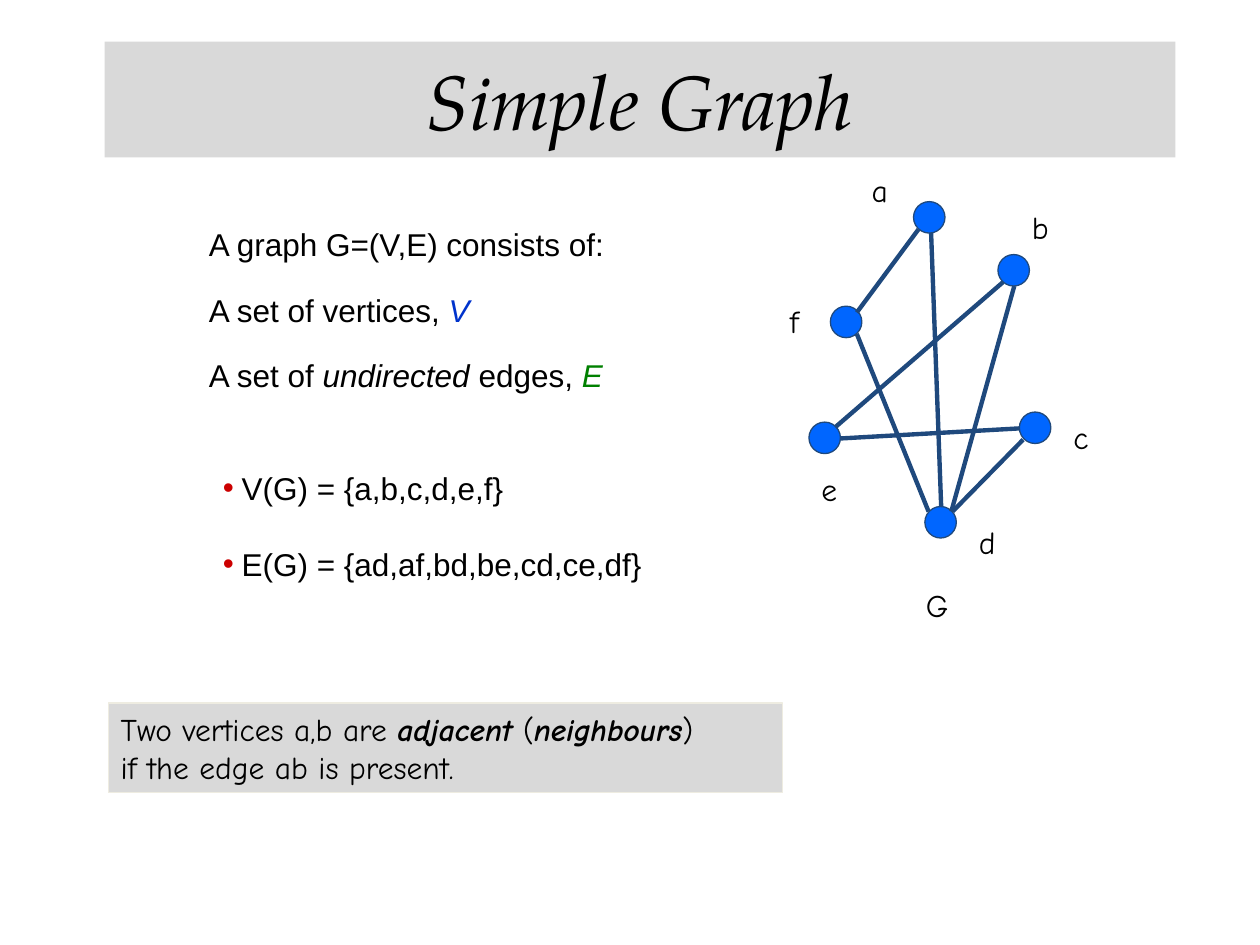
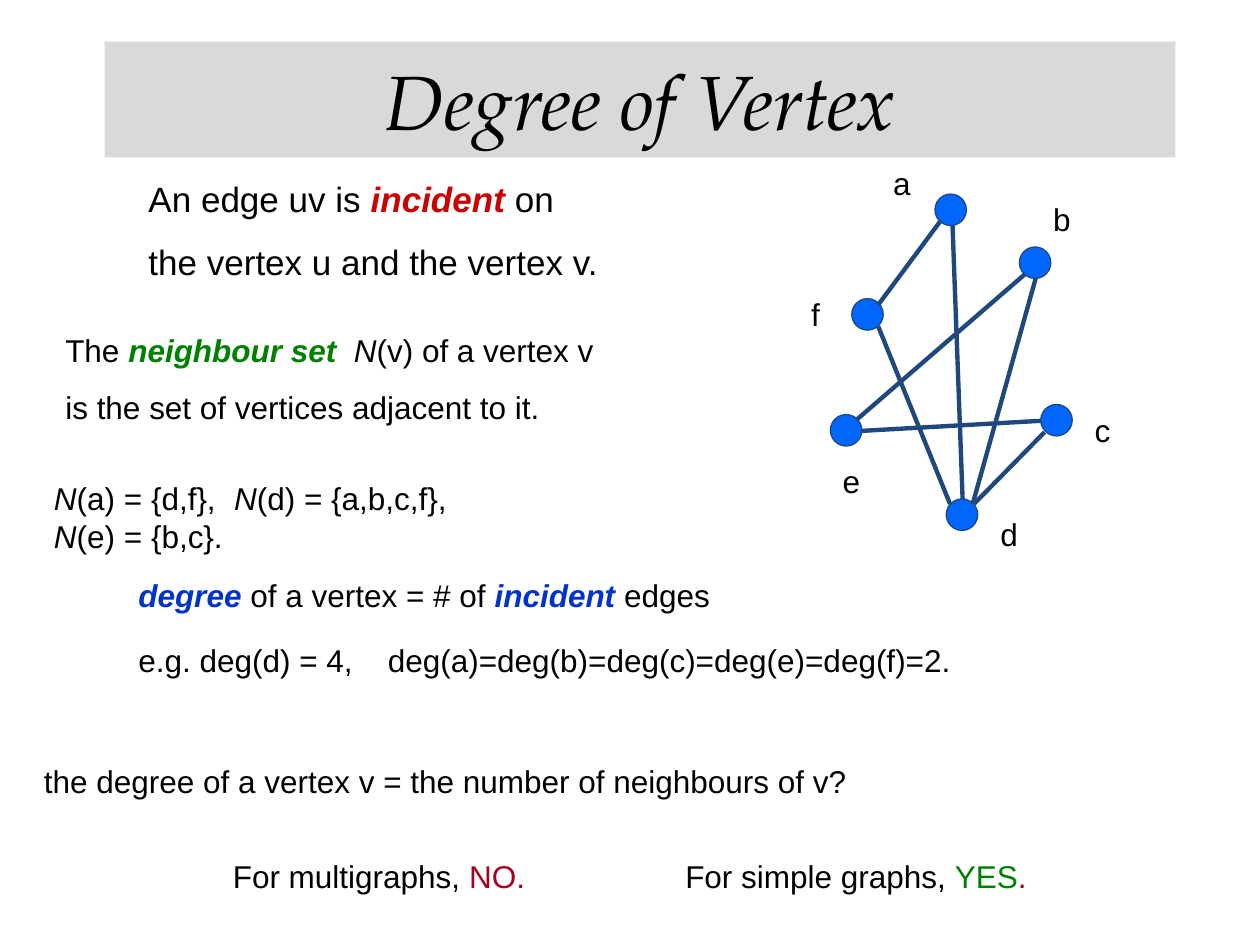
from dataclasses import dataclass

import pptx
import pptx.dml.color
import pptx.enum.shapes
import pptx.enum.text
import pptx.oxml.ns
import pptx.util
from lxml import etree

Inches = pptx.util.Inches
Pt = pptx.util.Pt
Color = pptx.dml.color.RGBColor.from_string
ShapeKind = pptx.enum.shapes.MSO_SHAPE


@dataclass(frozen=True)
class Theme:
    body_font: str = "Arial"
    note_font: str = "Comic Neue"
    title_font: str = "TeX Gyre Pagella"
    body_size: int = 18
    lead_size: int = 20
    title_size: int = 44
    black: str = "000000"
    band: str = "D9D9D9"
    band_edge: str = "EEECE1"
    node: str = "0066FF"
    edge: str = "1F497D"
    blue: str = "0033CC"
    green: str = "008000"
    red: str = "CC0000"
    dark_red: str = "A50021"


THEME = Theme()

ITALIC = {"italic": True}
STRONG = {"bold": True, "italic": True}

NODE_SIZE = 0.25
NODES = {
    "a": (7.25, 1.6),
    "b": (7.92, 2.02),
    "c": (8.09, 3.27),
    "d": (7.34, 4.02),
    "e": (6.42, 3.35),
    "f": (6.59, 2.43),
}
LABELS = {
    "a": (6.82, 1.31, 0.33),
    "b": (8.09, 1.6, 0.35),
    "c": (8.42, 3.27, 0.33),
    "d": (7.67, 4.1, 0.35),
    "e": (6.42, 3.68, 0.34),
    "f": (6.17, 2.35, 0.3),
}
EDGES = {
    "eb": (6.63, 3.39, 7.96, 2.24),
    "ec": (6.67, 3.48, 8.09, 3.4),
    "fa": (6.8, 2.48, 7.29, 1.82),
    "db": (7.55, 4.06, 8.05, 2.27),
    "dc": (7.56, 4.06, 8.12, 3.49),
    "da": (7.47, 4.02, 7.39, 1.85),
    "fd": (6.8, 2.65, 7.37, 4.06),
}


class Deck:
    def __init__(self, theme):
        self.theme = theme
        self.presentation = pptx.Presentation()
        self.presentation.slide_width = Inches(10)
        self.presentation.slide_height = Inches(7.5)
        self.slide = None

    def new_slide(self):
        self.slide = self.presentation.slides.add_slide(self.presentation.slide_layouts[6])

    def shape(self, kind, left, top, width, height, fill, line=None):
        shape = self.slide.shapes.add_shape(
            kind, Inches(left), Inches(top), Inches(width), Inches(height))
        shape.shadow.inherit = False
        shape.fill.solid()
        shape.fill.fore_color.rgb = Color(fill)
        if line:
            shape.line.color.rgb = Color(line)
            shape.line.width = Pt(0.75)
        else:
            shape.line.fill.background()
        return shape

    def paragraph_marks(self, paragraph, bullet, tab):
        properties = paragraph._p.get_or_add_pPr()

        def add(parent, tag, **attributes):
            return etree.SubElement(parent, pptx.oxml.ns.qn(tag), attributes)

        if bullet:
            indent = Inches(0.15)
            properties.set("marL", str(indent))
            properties.set("indent", str(-indent))
            add(add(properties, "a:buClr"), "a:srgbClr", val=self.theme.red)
            add(properties, "a:buFont", typeface=self.theme.body_font)
            add(properties, "a:buChar", char="•")
        if tab:
            add(add(properties, "a:tabLst"), "a:tab", pos=str(Inches(tab)), algn="l")

    def fill_text(self, frame, lines, font=None, size=None, spacing=1, before=0,
                  bullet=False, tab=None, italic=False,
                  align=pptx.enum.text.PP_ALIGN.LEFT):
        for index, line in enumerate(lines):
            paragraph = frame.paragraphs[0] if index == 0 else frame.add_paragraph()
            paragraph.alignment = align
            if index:
                paragraph.line_spacing = spacing
                paragraph.space_before = Pt(before)
            self.paragraph_marks(paragraph, bullet, tab)
            paragraph.font.name = font or self.theme.body_font
            paragraph.font.size = Pt(size or self.theme.body_size)
            paragraph.font.italic = italic
            paragraph.font.color.rgb = Color(self.theme.black)
            for part in [line] if isinstance(line, str) else line:
                words, style = (part, {}) if isinstance(part, str) else part
                run = paragraph.add_run()
                run.text = words
                run.font.bold = style.get("bold")
                run.font.italic = style.get("italic")
                if "color" in style:
                    run.font.color.rgb = Color(style["color"])

    def text(self, left, top, width, height, *lines, **options):
        box = self.slide.shapes.add_textbox(
            Inches(left), Inches(top), Inches(width), Inches(height))
        box.text_frame.word_wrap = "tab" in options
        self.fill_text(box.text_frame, lines, **options)

    def title(self, words):
        band = self.shape(ShapeKind.RECTANGLE, 0.83, 0.33, 8.5, 0.92, self.theme.band)
        self.fill_text(band.text_frame, [words], font=self.theme.title_font,
                       size=self.theme.title_size, italic=True,
                       align=pptx.enum.text.PP_ALIGN.CENTER)

    def note(self, left, top, width, height, *lines):
        box = self.shape(ShapeKind.RECTANGLE, left, top, width, height,
                         self.theme.band, self.theme.band_edge)
        box.text_frame.word_wrap = True
        self.fill_text(box.text_frame, lines, font=self.theme.note_font)

    def edge(self, start_x, start_y, end_x, end_y):
        line = self.slide.shapes.add_connector(
            pptx.enum.shapes.MSO_CONNECTOR.STRAIGHT,
            Inches(start_x), Inches(start_y), Inches(end_x), Inches(end_y))
        line.line.color.rgb = Color(self.theme.edge)
        line.line.width = Pt(2.5)
        etree.SubElement(line._element.spPr, pptx.oxml.ns.qn("a:effectLst"))

    def graph(self, font, shift_x=0, shift_y=0):
        for x, y in NODES.values():
            self.shape(ShapeKind.OVAL, x + shift_x, y + shift_y, NODE_SIZE, NODE_SIZE,
                       self.theme.node, self.theme.edge)
        for start_x, start_y, end_x, end_y in EDGES.values():
            self.edge(start_x + shift_x, start_y + shift_y,
                      end_x + shift_x, end_y + shift_y)
        for name, (x, y, width) in LABELS.items():
            self.text(x + shift_x, y + shift_y, width, 0.4, name, font=font)


def simple_graph(deck):
    theme = deck.theme
    deck.new_slide()
    deck.title("Simple Graph")
    deck.text(1.56, 1.74, 3.77, 1.59,
              "A graph G=(V,E) consists of:",
              ["A set of vertices, ", ("V", ITALIC | {"color": theme.blue})],
              ["A set of", (" undirected", ITALIC), " edges, ",
               ("E", ITALIC | {"color": theme.green})],
              spacing=1.5, before=5)
    deck.text(1.67, 3.67, 3.69, 1,
              "V(G) = {a,b,c,d,e,f}",
              "E(G) = {ad,af,bd,be,cd,ce,df}",
              bullet=True, before=22)
    deck.graph(theme.note_font)
    deck.text(7.25, 4.6, 0.37, 0.4, "G", font=theme.note_font)
    deck.note(0.86, 5.58, 5.35, 0.71,
              ["Two vertices a,b are ", ("adjacent", STRONG), " (",
               ("neighbours", STRONG), ")"],
              "if the edge ab is present.")


def degree_of_vertex(deck):
    theme = deck.theme
    deck.new_slide()
    deck.title("Degree of Vertex")
    deck.graph(theme.body_font, 0.17, -0.06)
    deck.text(1.08, 1.36, 3.79, 0.88,
              ["An edge uv is", (" incident ", STRONG | {"color": theme.red}), "on"],
              "the vertex u and the vertex v.",
              size=theme.lead_size, spacing=1.5)
    deck.text(0.42, 2.58, 4.6, 0.85,
              ["The ", ("neighbour set", STRONG | {"color": theme.green}), "\t",
               ("N", ITALIC), "(v) of a vertex v"],
              "is the set of vertices adjacent to it.",
              spacing=1.5, tab=2.29)
    deck.text(0.33, 3.75, 5.58, 0.71,
              [("N", ITALIC), "(a) = {d,f},\t", ("N", ITALIC), "(d) = {a,b,c,f},"],
              [("N", ITALIC), "(e) = {b,c}."],
              tab=1.43)
    key_term = STRONG | {"color": theme.blue}
    deck.text(1, 4.52, 5.13, 0.51,
              [("degree", key_term), " of a vertex = # of ",
               ("incident", key_term), " edges"])
    deck.text(1, 5.04, 6.74, 0.4,
              "e.g. deg(d) = 4,\tdeg(a)=deg(b)=deg(c)=deg(e)=deg(f)=2.", tab=1.98)
    deck.text(0.25, 6, 6.63, 0.4,
              "the degree of a vertex v = the number of neighbours of v?")
    deck.text(1.75, 6.75, 2.64, 0.4,
              ["For multigraphs, ", ("NO.", {"color": theme.dark_red})])
    deck.text(5.34, 6.75, 2.95, 0.4,
              ["For simple graphs, ", ("YES", {"color": theme.green}),
               (".", {"color": theme.dark_red})])


def main():
    deck = Deck(THEME)
    simple_graph(deck)
    degree_of_vertex(deck)
    deck.presentation.save("out.pptx")


if __name__ == "__main__":
    main()
